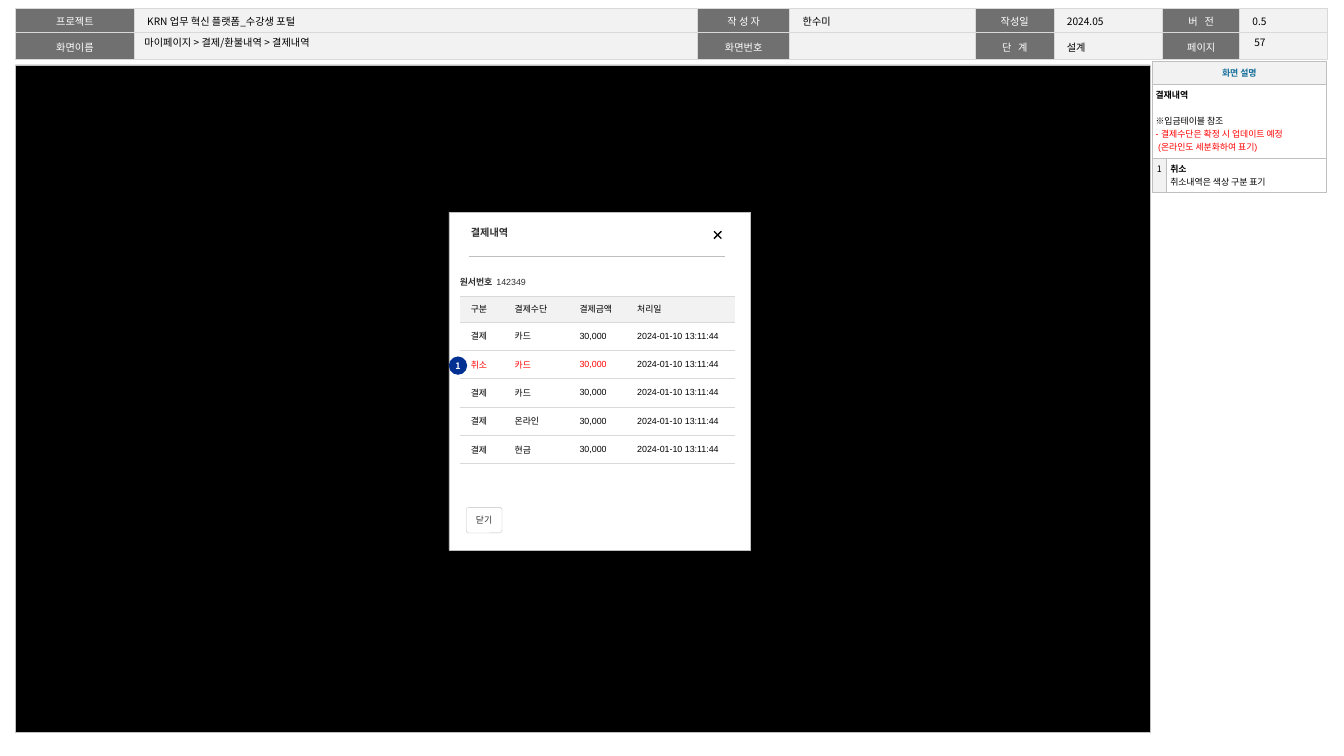
from lxml.etree import SubElement
from pptx import Presentation
from pptx.dml.color import RGBColor
from pptx.enum.shapes import MSO_CONNECTOR as Connector, MSO_SHAPE as Shape
from pptx.enum.text import MSO_ANCHOR as Anchor, PP_ALIGN as Align
from pptx.oxml.ns import qn
from pptx.util import Inches, Pt

BLACK = RGBColor(0x00, 0x00, 0x00)
WHITE = RGBColor(0xFF, 0xFF, 0xFF)
INK = RGBColor(0x2E, 0x2E, 0x2E)
DARK_GRAY = RGBColor(0x70, 0x70, 0x70)
MID_GRAY = RGBColor(0xBF, 0xBF, 0xBF)
LINE_GRAY = RGBColor(0xD9, 0xD9, 0xD9)
PALE_GRAY = RGBColor(0xF2, 0xF2, 0xF2)
TEAL = RGBColor(0x17, 0x6F, 0x9B)
RED = RGBColor(0xFF, 0x00, 0x00)
NAVY = RGBColor(0x00, 0x31, 0x92)
KOREAN, LATIN = "Noto Sans CJK KR", "Arial"

HEADER_ROWS = [
    ["프로젝트", "KRN 업무 혁신 플랫폼_수강생 포털", "작 성 자", "한수미",
     "작성일", "2024.05", "버   전", "0.5"],
    ["화면이름", "", "화면번호", "", "단   계", "설계", "페이지", ""],
]
PAYMENT_HEAD = ["구분", "결제수단", "결제금액", "처리일"]
PAYMENTS = [("결제", "카드"), ("취소", "카드"), ("결제", "카드"),
            ("결제", "온라인"), ("결제", "현금")]
AMOUNT, PROCESSED = "30,000", "2024-01-10 13:11:44"


def add_span(para, text, size=7, font=KOREAN, color=BLACK, bold=False):
    """Add one formatted run to a paragraph."""
    span = para.add_run()
    span.text = text
    span.font.size, span.font.bold = Pt(size), bold
    span.font.name, span.font.color.rgb = font, color
    SubElement(span.font._element, qn("a:ea"), typeface=KOREAN)


def write(frame, text, align=Align.LEFT, spacing=None, before=0, first=True, **style):
    """Write one paragraph of text into a frame and return it."""
    para = frame.paragraphs[0] if first else frame.add_paragraph()
    para.alignment = align
    if spacing:
        para.line_spacing = spacing
    if before:
        para.space_before = Pt(before)
    if text:
        add_span(para, text, **style)
    else:
        para.font.size = Pt(style.get("size", 7))
    return para


def set_frame(frame, insets, anchor=Anchor.MIDDLE, wrap=True):
    """Set the insets, anchor and wrapping of a text frame."""
    frame.margin_left, frame.margin_top, frame.margin_right, frame.margin_bottom = map(Inches, insets)
    frame.vertical_anchor, frame.word_wrap = anchor, wrap


def set_cell(cell, fill, insets, edges, anchor=Anchor.MIDDLE):
    """Set fill, margins and borders of a cell; edges maps sides to colour and width."""
    cell.margin_left, cell.margin_top, cell.margin_right, cell.margin_bottom = map(Inches, insets)
    cell.vertical_anchor = anchor
    properties = cell._tc.get_or_add_tcPr()
    for side in "LRTB":
        color, width = edges.get(side, (None, 0))
        border = SubElement(properties, qn(f"a:ln{side}"), w=str(Pt(width)))
        if color is None:
            SubElement(border, qn("a:noFill"))
        else:
            paint = SubElement(border, qn("a:solidFill"))
            SubElement(paint, qn("a:srgbClr"), val=str(color))
    cell.fill.solid()
    cell.fill.fore_color.rgb = fill


def add_grid(page, left, top, widths, heights):
    """Add an unbanded table with given column widths and row heights."""
    holder = page.shapes.add_table(len(heights), len(widths), Inches(left), Inches(top),
                                   Inches(sum(widths)), Inches(sum(heights)))
    grid = holder.table
    grid.first_row = grid.horz_banding = False
    for column, width in zip(grid.columns, widths):
        column.width = Inches(width)
    for row, height in zip(grid.rows, heights):
        row.height = Inches(height)
    return holder


def add_panel(page, kind, left, top, width, height, fill, line=None, weight=0.5):
    """Add a flat filled shape."""
    panel = page.shapes.add_shape(kind, Inches(left), Inches(top), Inches(width), Inches(height))
    panel.shadow.inherit = False
    panel.fill.solid()
    panel.fill.fore_color.rgb = fill
    if line is None:
        panel.line.fill.background()
    else:
        panel.line.color.rgb, panel.line.width = line, Pt(weight)
    return panel


def add_rule(page, start, end, color, weight):
    """Add a straight line without shadow."""
    rule = page.shapes.add_connector(Connector.STRAIGHT, *map(Inches, start + end))
    rule.line.color.rgb, rule.line.width = color, Pt(weight)
    SubElement(rule._element.spPr, qn("a:effectLst"))


def build_header(page, left, top):
    """Build the document header with the screen title and page number."""
    widths = [1.3, 6.16, 1.01, 2.03, 0.86, 1.19, 0.84, 0.96]
    holder = add_grid(page, left, top, widths, [0.27, 0.29])
    edges = dict.fromkeys("LRTB", (LINE_GRAY, 1))
    for row, texts in enumerate(HEADER_ROWS):
        for column, text in enumerate(texts):
            label = column % 2 == 0
            cell = holder.table.cell(row, column)
            set_cell(cell, DARK_GRAY if label else PALE_GRAY, (0.14, 0.05, 0.14, 0.05), edges)
            write(cell.text_frame, text, Align.CENTER if label else Align.LEFT, 1.05,
                  size=8, color=WHITE if label else BLACK)
    title = page.shapes.title
    title.left, title.top = Inches(left + 1.3), Inches(top + 0.29)
    title.width, title.height = Inches(5.91), Inches(0.16)
    set_frame(title.text_frame, (0.11, 0.05, 0.11, 0.05))
    write(title.text_frame, "마이페이지 > 결제/환불내역 > 결제내역", size=8)
    holder.element.addnext(title.element)
    number = page.shapes.add_textbox(Inches(left + 13.45), Inches(top + 0.29), Inches(0.72), Inches(0.16))
    set_frame(number.text_frame, (0.1, 0.05, 0.1, 0.05))
    write(number.text_frame, "57", size=8)


def build_description(page, left, top):
    """Build the table that explains the screen."""
    grid = add_grid(page, left, top, [0.16, 1.75], [0.25, 0.81, 0.37]).table
    edges = dict.fromkeys("LRTB", (MID_GRAY, 0.25))
    fills = [(PALE_GRAY, PALE_GRAY), (WHITE, WHITE), (PALE_GRAY, WHITE)]
    for row, pair in enumerate(fills):
        for column, fill in enumerate(pair):
            anchor = Anchor.TOP if row == 1 or (row, column) == (2, 0) else Anchor.MIDDLE
            set_cell(grid.cell(row, column), fill, (0.04, 0.05, 0.04, 0.05), edges, anchor)
    for row in range(2):
        grid.cell(row, 0).merge(grid.cell(row, 1))
    write(grid.cell(0, 0).text_frame, "화면 설명", Align.CENTER, color=TEAL, bold=True)
    notes = grid.cell(1, 0).text_frame
    write(notes, "결재내역", font=LATIN, bold=True)
    write(notes, "※입금테이블 참조", before=10, first=False, font=LATIN)
    for text in ("- 결제수단은 확정 시 업데이트 예정", " (온라인도 세분화하여 표기)"):
        write(notes, text, first=False, font=LATIN, color=RED)
    write(grid.cell(2, 0).text_frame, "1", Align.CENTER)
    item = grid.cell(2, 1).text_frame
    write(item, "취소", font=LATIN, bold=True)
    write(item, "취소내역은 색상 구분 표기", first=False, font=LATIN)


def build_payments(page, left, top):
    """Build the payment table, with cancelled payments in red."""
    grid = add_grid(page, left, top, [0.48, 0.71, 0.63, 1.19], [0.28] + [0.31] * 5).table
    rows = [PAYMENT_HEAD] + [[kind, method, AMOUNT, PROCESSED] for kind, method in PAYMENTS]
    edges = dict.fromkeys("TB", (LINE_GRAY, 0.25))
    for row, texts in enumerate(rows):
        for column, text in enumerate(texts):
            cell = grid.cell(row, column)
            pad = 0 if column == 3 else 0.05
            set_cell(cell, WHITE if row else PALE_GRAY, (0.12, pad, 0.08, pad), edges)
            cancelled = texts[0] == "취소" and column < 3
            write(cell.text_frame, text, font=KOREAN if row and column == 0 else LATIN,
                  color=RED if cancelled else BLACK)


def build_popup(page, left, top):
    """Build the payment history popup."""
    popup = add_panel(page, Shape.RECTANGLE, left, top, 3.3, 3.7, WHITE, MID_GRAY)
    set_frame(popup.text_frame, (0.24, 0.16, 0.16, 0.05), Anchor.TOP, False)
    write(popup.text_frame, "결제내역", size=8, color=INK, bold=True)
    near, far, high, low = left + 2.9, left + 2.98, top + 0.21, top + 0.29
    add_rule(page, (near, high), (far, low), BLACK, 1)
    add_rule(page, (far, high), (near, low), BLACK, 1)
    close = add_panel(page, Shape.ROUNDED_RECTANGLE, left + 0.19, top + 3.23, 0.39, 0.28,
                      WHITE, MID_GRAY, 0.25)
    close.adjustments[0] = 0.1
    set_frame(close.text_frame, (0.04, 0, 0.04, 0), wrap=False)
    write(close.text_frame, "닫기", Align.CENTER, font=LATIN, color=INK)
    add_rule(page, (left + 0.22, top + 0.48), (left + 3.02, top + 0.48), MID_GRAY, 0.25)
    number = page.shapes.add_textbox(Inches(left + 0.12), Inches(top + 0.6), Inches(2.85), Inches(0.25))
    set_frame(number.text_frame, (0, 0.05, 0, 0.05), Anchor.TOP)
    para = write(number.text_frame, "원서번호 ", spacing=1.5, font=LATIN, color=INK, bold=True)
    add_span(para, " 142349", font=LATIN, color=INK)
    build_payments(page, left + 0.12, top + 0.92)
    marker = add_panel(page, Shape.OVAL, left, top + 1.58, 0.2, 0.2, NAVY)
    set_frame(marker.text_frame, (0, 0, 0, 0), wrap=False)
    write(marker.text_frame, "1", Align.CENTER, color=WHITE, bold=True)


def main():
    """Build and save the deck."""
    deck = Presentation()
    deck.slide_width, deck.slide_height = Inches(14.7), Inches(8.27)
    page = deck.slides.add_slide(deck.slide_layouts[5])
    build_header(page, 0.17, 0.09)
    add_panel(page, Shape.RECTANGLE, 0.17, 0.71, 12.41, 7.3, BLACK, MID_GRAY)
    build_description(page, 12.6, 0.67)
    build_popup(page, 4.91, 2.32)
    deck.save("out.pptx")


if __name__ == "__main__":
    main()
